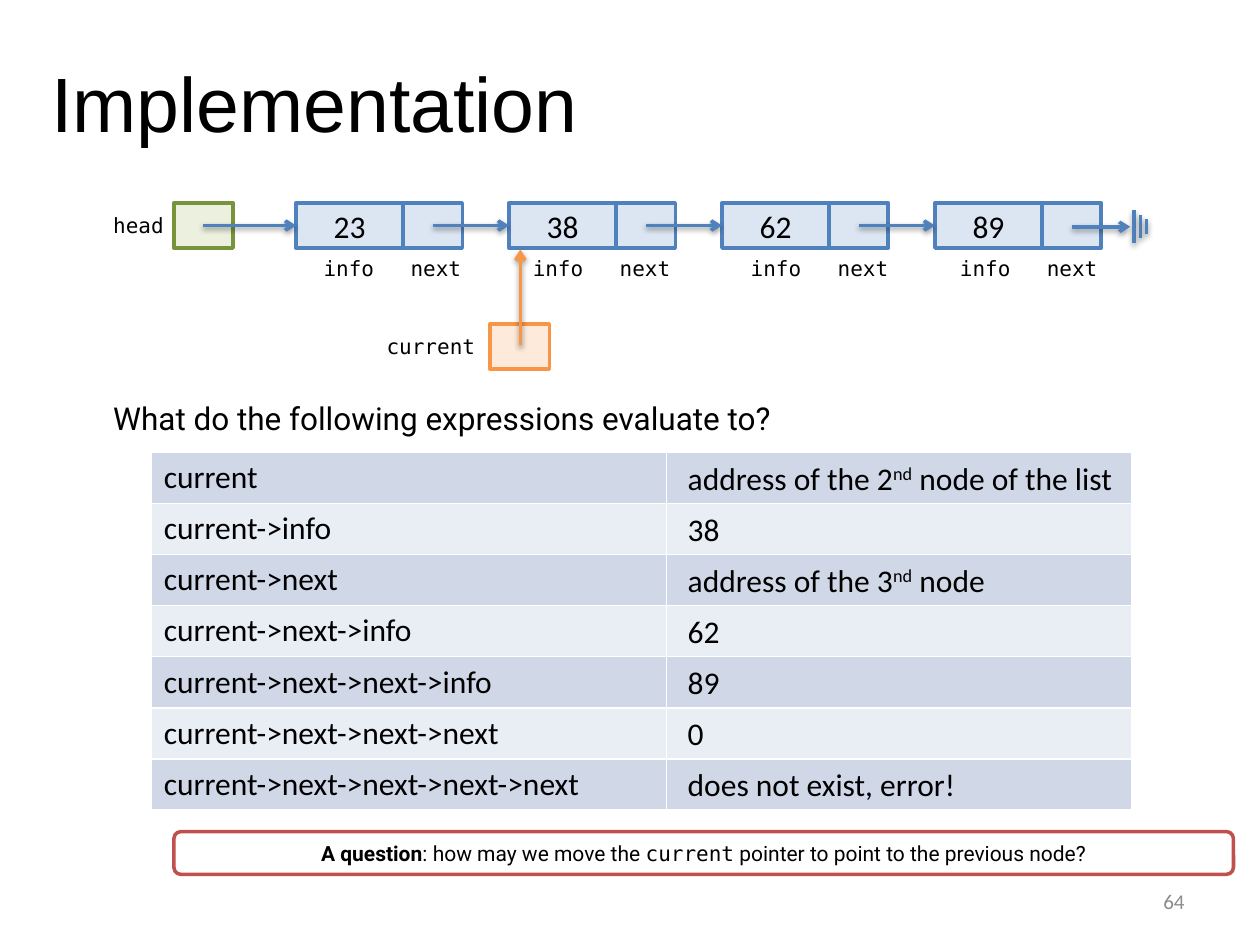
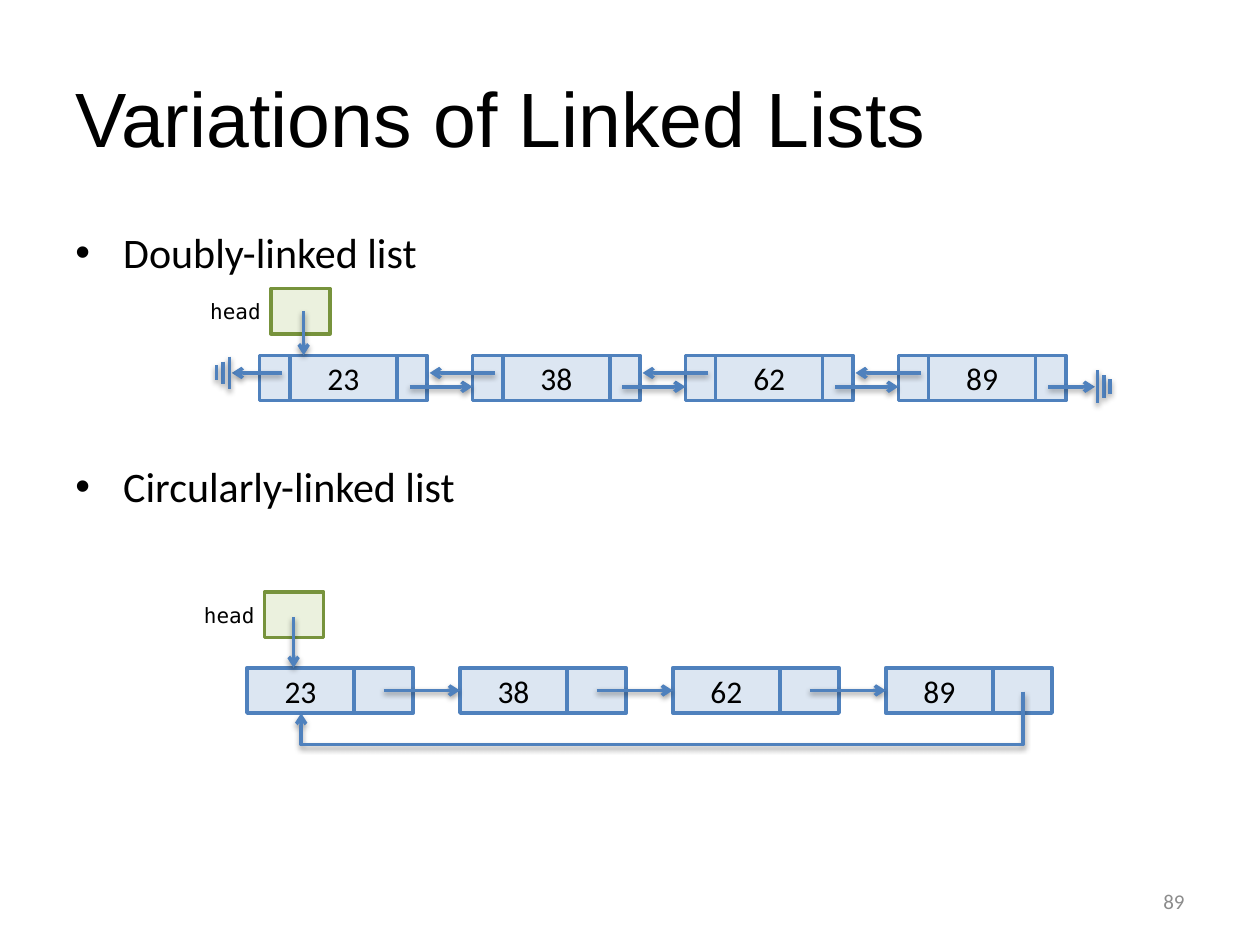
"""Builds two slides on linked lists: evaluating node expressions and list variations."""
import pptx
import pptx.dml.color
import pptx.enum.shapes
import pptx.enum.text
import pptx.oxml
import pptx.oxml.ns
import pptx.util
from lxml import etree

Inches = pptx.util.Inches
Pt = pptx.util.Pt
SHAPE = pptx.enum.shapes.MSO_SHAPE
CONNECTOR = pptx.enum.shapes.MSO_CONNECTOR
ALIGN = pptx.enum.text.PP_ALIGN
MIDDLE = pptx.enum.text.MSO_ANCHOR.MIDDLE
qn = pptx.oxml.ns.qn

COLORS = {
    "text": "000000", "number": "8C8C8C", "white": "FFFFFF",
    "node": "DCE6F2", "link": "4F81BD",
    "head": "EBF1DE", "head_edge": "77933C",
    "current": "FDEADA", "current_edge": "F79646",
    "question_edge": "C0504D", "row_dark": "D0D8E8", "row_light": "E9EDF4",
}
HEADING, BODY, CODE, PROSE = "Arial", "Calibri", "DejaVu Sans Mono", "Roboto"
VALUES = ["23", "38", "62", "89"]
PITCH, INFO_W, NEXT_W, SIDE_W, NODE_H = 1.69, 0.85, 0.47, 0.24, 0.36


def rgb(name):
    return pptx.dml.color.RGBColor.from_string(COLORS[name])


class Deck:
    """Holds the shared style and draws on the current slide."""

    def __init__(self):
        self.file = pptx.Presentation()
        self.file.slide_width, self.file.slide_height = Inches(10), Inches(7.5)
        self.slide = None

    def add_slide(self, title, left, top, width, height, number):
        self.slide = self.file.slides.add_slide(self.file.slide_layouts[6])
        self.text(title, left, top, width, height, 44, HEADING, anchor=MIDDLE)
        page = self.text(number, 7.17, 6.95, 2.33, 0.4, 12, BODY, "number", MIDDLE)
        page.paragraphs[0].alignment = ALIGN.RIGHT

    def style(self, paragraph, size, face, color="text"):
        for run in paragraph.runs:
            run.font.size, run.font.name = Pt(size), face
            run.font.color.rgb = rgb(color)

    def text(self, words, left, top, width, height, size, face,
             color="text", anchor=None, wrap=True):
        frame = self.slide.shapes.add_textbox(
            Inches(left), Inches(top), Inches(width), Inches(height)).text_frame
        frame.word_wrap = wrap
        if anchor is not None:
            frame.vertical_anchor = anchor
        frame.text = words
        for paragraph in frame.paragraphs:
            self.style(paragraph, size, face, color)
        return frame

    def label(self, word, left, top):
        self.text(word, left, top, 0.21 + 0.1 * len(word), 0.3, 12, CODE, wrap=False)

    def answer(self, pieces, top, width):
        frame = self.text(pieces[0], 5.36, top, width, 0.4, 18, BODY, wrap=False)
        paragraph = frame.paragraphs[0]
        for piece in pieces[1:]:
            paragraph.add_run().text = piece
        self.style(paragraph, 18, BODY)
        if len(pieces) > 1:
            paragraph.runs[1].font._element.set("baseline", "30000")

    def box(self, left, top, width, fill, edge, words="", height=NODE_H, kind=SHAPE.RECTANGLE):
        shape = self.slide.shapes.add_shape(
            kind, Inches(left), Inches(top), Inches(width), Inches(height))
        shape.shadow.inherit = False
        shape.fill.solid()
        shape.fill.fore_color.rgb = rgb(fill)
        shape.line.color.rgb = rgb(edge)
        shape.line.width = Pt(2)
        frame = shape.text_frame
        frame.vertical_anchor = MIDDLE
        frame.text = words
        frame.paragraphs[0].alignment = ALIGN.CENTER
        self.style(frame.paragraphs[0], 18, BODY)
        return shape

    def line(self, x1, y1, x2, y2, color="link", arrow=True, kind=CONNECTOR.STRAIGHT):
        link = self.slide.shapes.add_connector(
            kind, Inches(x1), Inches(y1), Inches(x2), Inches(y2))
        link.line.color.rgb = rgb(color)
        link.line.width = Pt(2)
        if arrow:
            etree.SubElement(link.line._get_or_add_ln(), qn("a:tailEnd"), type="arrow")
        return link

    def ground(self, x, y, direction):
        for step, half in enumerate([0.13, 0.09, 0.06]):
            bar = x + direction * 0.05 * step
            self.line(bar, y - half, bar, y + half, arrow=False)

    def pointer(self, name, left, top, label_left, fill="head", edge="head_edge"):
        self.box(left, top, NEXT_W, fill, edge)
        self.label(name, label_left, top + 0.03)

    def singly_linked(self, left, top):
        nodes = []
        for index, value in enumerate(VALUES):
            x = left + index * PITCH
            nodes.append(self.box(x, top, INFO_W, "node", "link", value))
            self.box(x + INFO_W, top, NEXT_W, "node", "link")
        middle = top + NODE_H / 2
        for index, target in enumerate(nodes[1:]):
            start = left + index * PITCH + INFO_W + NEXT_W / 2
            self.line(start, middle, start + 0.6, middle).end_connect(target, 1)
        return nodes

    def doubly_linked(self, left, top):
        back, forward = top + 0.14, top + 0.25
        last = len(VALUES) - 1
        for index, value in enumerate(VALUES):
            x = left + index * PITCH
            self.box(x, top, SIDE_W, "node", "link")
            self.box(x + SIDE_W, top, INFO_W, "node", "link", value)
            self.box(x + SIDE_W + INFO_W, top, SIDE_W, "node", "link")
        for index in range(len(VALUES)):
            x = left + index * PITCH
            self.line(x + 0.18, back, x - (0.34 if index else 0.22), back)
            self.line(x + 1.19, forward, x + (PITCH if index < last else 1.56), forward)
        self.ground(left - 0.24, back, -1)
        self.ground(left + last * PITCH + 1.58, forward, 1)

    def closing_link(self, x1, y1, x2, y2, depth):
        link = self.line(x1, y1, x2, y2, kind=CONNECTOR.ELBOW)
        frame = link._element.spPr.find(qn("a:xfrm"))
        frame.attrib.pop("flipH", None)
        frame.set("rot", "10800000")
        frame.set("flipV", "1")
        geometry = link._element.spPr.find(qn("a:prstGeom"))
        geometry.set("prst", "bentConnector4")
        guides = geometry.find(qn("a:avLst"))
        bend = round(depth / (y2 - y1) * 100000)
        for name, amount in [("adj1", 0), ("adj2", bend)]:
            etree.SubElement(guides, qn("a:gd"), name=name, fmla=f"val {amount}")

    def bullets(self, items, left, top, width, height, gap):
        frame = self.text("\n".join(items), left, top, width, height, 24, BODY)
        for index, paragraph in enumerate(frame.paragraphs):
            properties = paragraph._p.get_or_add_pPr()
            properties.set("marL", str(Inches(0.38)))
            properties.set("indent", str(-Inches(0.38)))
            etree.SubElement(properties, qn("a:buFont"), typeface=HEADING)
            etree.SubElement(properties, qn("a:buChar"), char="•")
            if index:
                paragraph.space_before = Pt(gap)

    def expressions(self, rows, left, top, widths, height):
        table = self.slide.shapes.add_table(
            len(rows), len(widths), Inches(left), Inches(top),
            Inches(sum(widths)), Inches(height)).table
        table.first_row = False
        for column, width in zip(table.columns, widths):
            column.width = Inches(width)
        for index, expression in enumerate(rows):
            for cell in table.rows[index].cells:
                cell.fill.solid()
                cell.fill.fore_color.rgb = rgb("row_light" if index % 2 else "row_dark")
            first = table.cell(index, 0)
            first.text = expression
            self.style(first.text_frame.paragraphs[0], 18, BODY)

    def question(self, pieces, left, top, width, height):
        frame = self.box(left, top, width, "white", "question_edge", height=height,
                         kind=SHAPE.ROUNDED_RECTANGLE).text_frame
        paragraph = frame.paragraphs[0]
        for words, face, bold in pieces:
            run = paragraph.add_run()
            run.text = words
            run.font.name, run.font.size, run.font.bold = face, Pt(12), bold
            run.font.color.rgb = rgb("text")


def implementation(deck):
    deck.add_slide("Implementation", 0.31, 0.3, 9.39, 1.02, "64")
    nodes = deck.singly_linked(2.35, 1.61)
    deck.line(8.51, 1.8, 8.97, 1.8)
    deck.ground(9, 1.8, 1)
    deck.pointer("head", 1.38, 1.61, 0.8)
    deck.line(1.61, 1.79, 2.35, 1.79).end_connect(nodes[0], 1)
    for info_left in [2.47, 4.13, 5.86, 7.52]:
        deck.label("info", info_left, 1.98)
        deck.label("next", info_left + 0.69, 1.98)
    deck.pointer("current", 3.89, 2.57, 2.97, "current", "current_edge")
    deck.line(4.13, 2.74, 4.13, 1.98, "current_edge")

    deck.text("What do the following expressions evaluate to?",
              0.8, 3.12, 6.17, 0.4, 18, PROSE, wrap=False)
    evaluated = [
        ("current", ["address of the 2", "nd", " node of the list"], 3.63),
        ("current->info", ["38"], 0.46),
        ("current->next", ["address of the 3", "nd", " node"], 2.61),
        ("current->next->info", ["62"], 0.46),
        ("current->next->next->info", ["89"], 0.46),
        ("current->next->next->next", ["0"], 0.33),
        ("current->next->next->next->next", ["does not exist, error!"], 2.35),
    ]
    deck.expressions([row[0] for row in evaluated], 1.2, 3.59, [4.09, 3.69], 2.84)
    for index, (_, pieces, width) in enumerate(evaluated):
        deck.answer(pieces, 3.59 + index * 2.84 / len(evaluated), width)
    deck.question([
        ("A question", PROSE, True),
        (": how may we move the ", PROSE, False),
        ("current", CODE, False),
        (" pointer to point to the previous node?", PROSE, False),
    ], 1.38, 6.6, 8.41, 0.34)


def variations(deck):
    deck.add_slide("Variations of Linked Lists", 0.5, 0.3, 9, 1.25, "89")
    deck.bullets(["Doubly-linked list", "Circularly-linked list"], 0.5, 1.75, 9, 4.95, 105)
    deck.doubly_linked(2.06, 2.82)
    deck.pointer("head", 2.15, 2.29, 1.57)
    deck.line(2.41, 2.47, 2.41, 2.82)
    deck.singly_linked(1.96, 5.3)
    deck.pointer("head", 2.1, 4.7, 1.52)
    deck.line(2.33, 4.9, 2.33, 5.3)
    deck.closing_link(8.12, 5.49, 2.39, 5.66, 0.42)


def main():
    deck = Deck()
    implementation(deck)
    variations(deck)
    deck.file.save("out.pptx")


if __name__ == "__main__":
    main()
